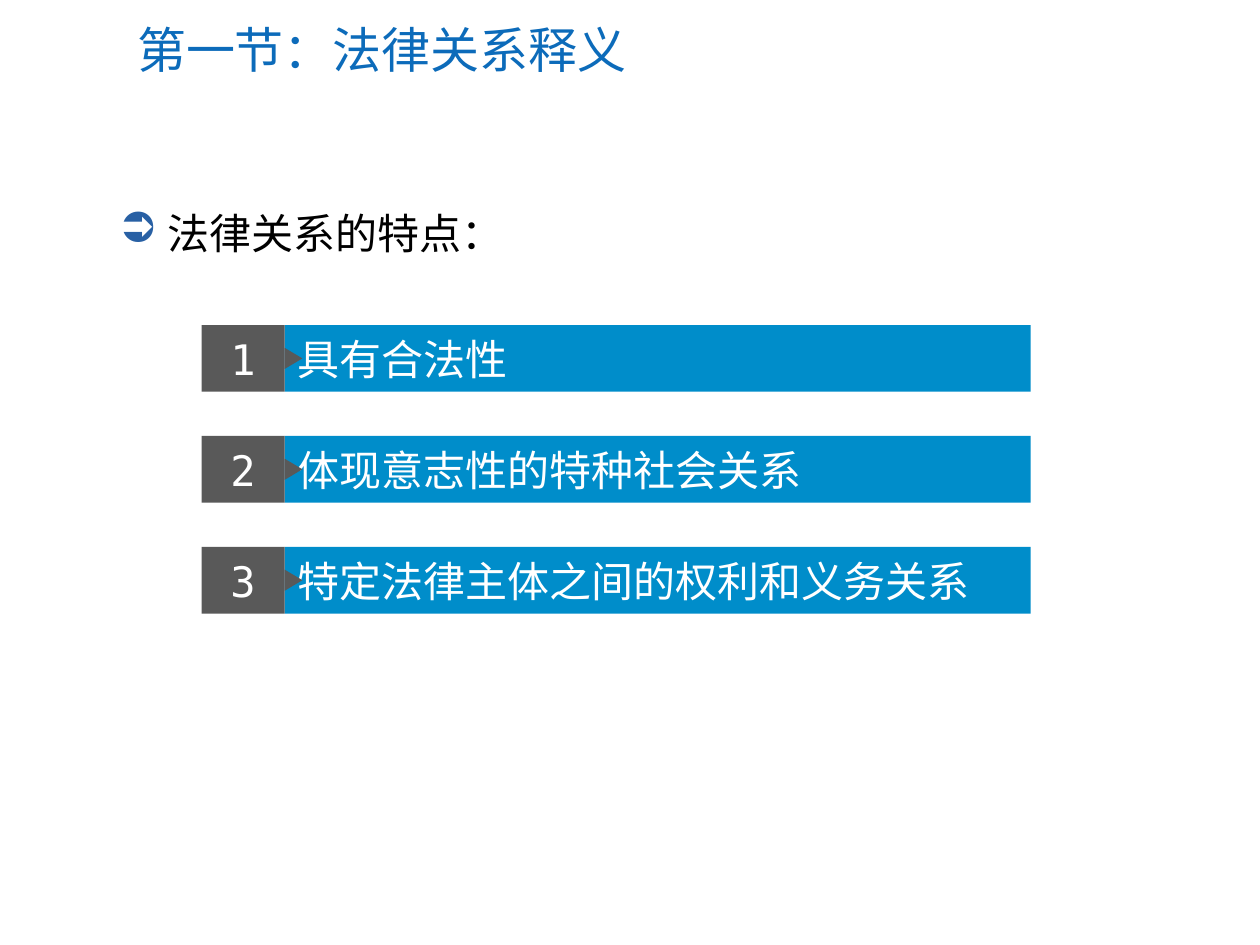
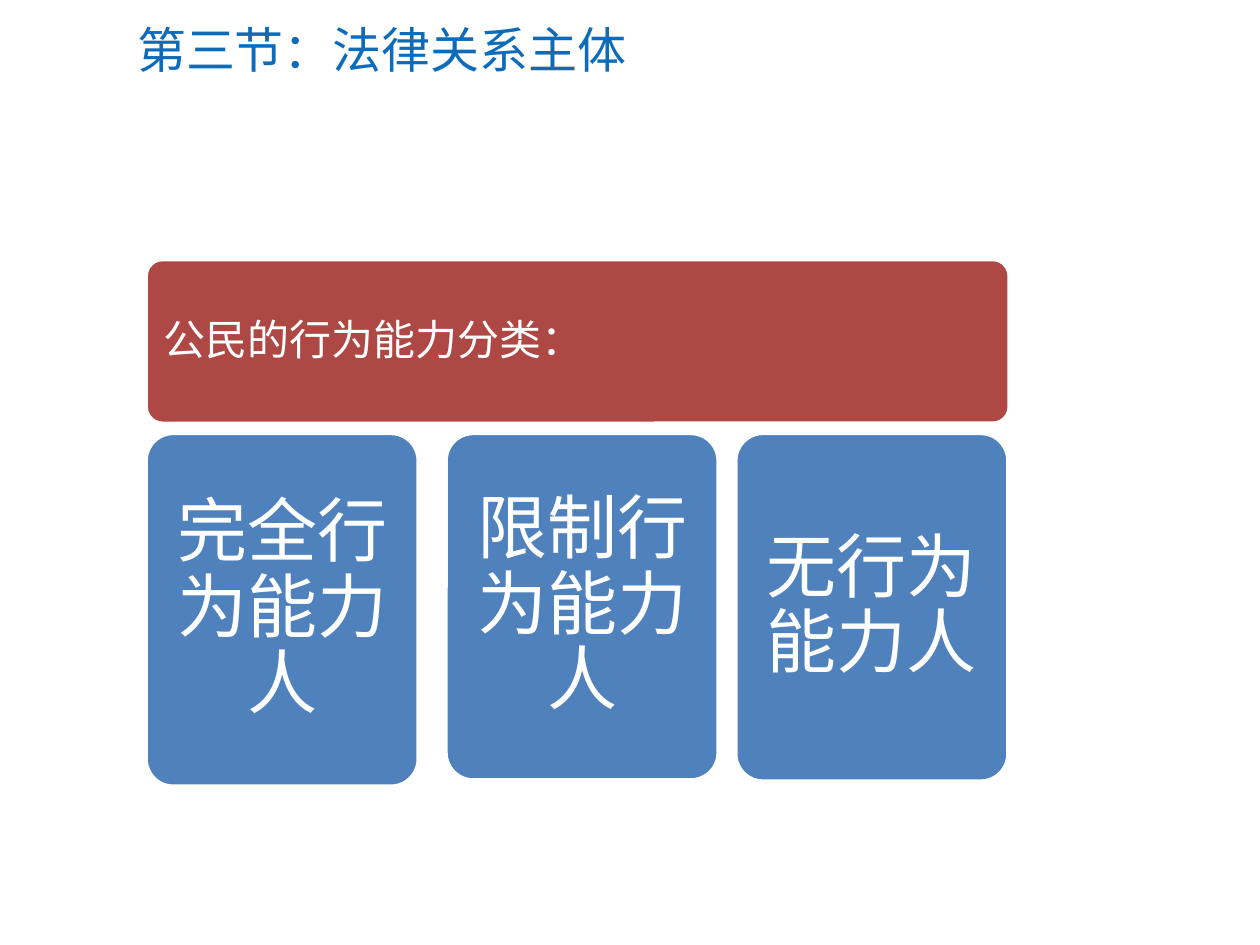
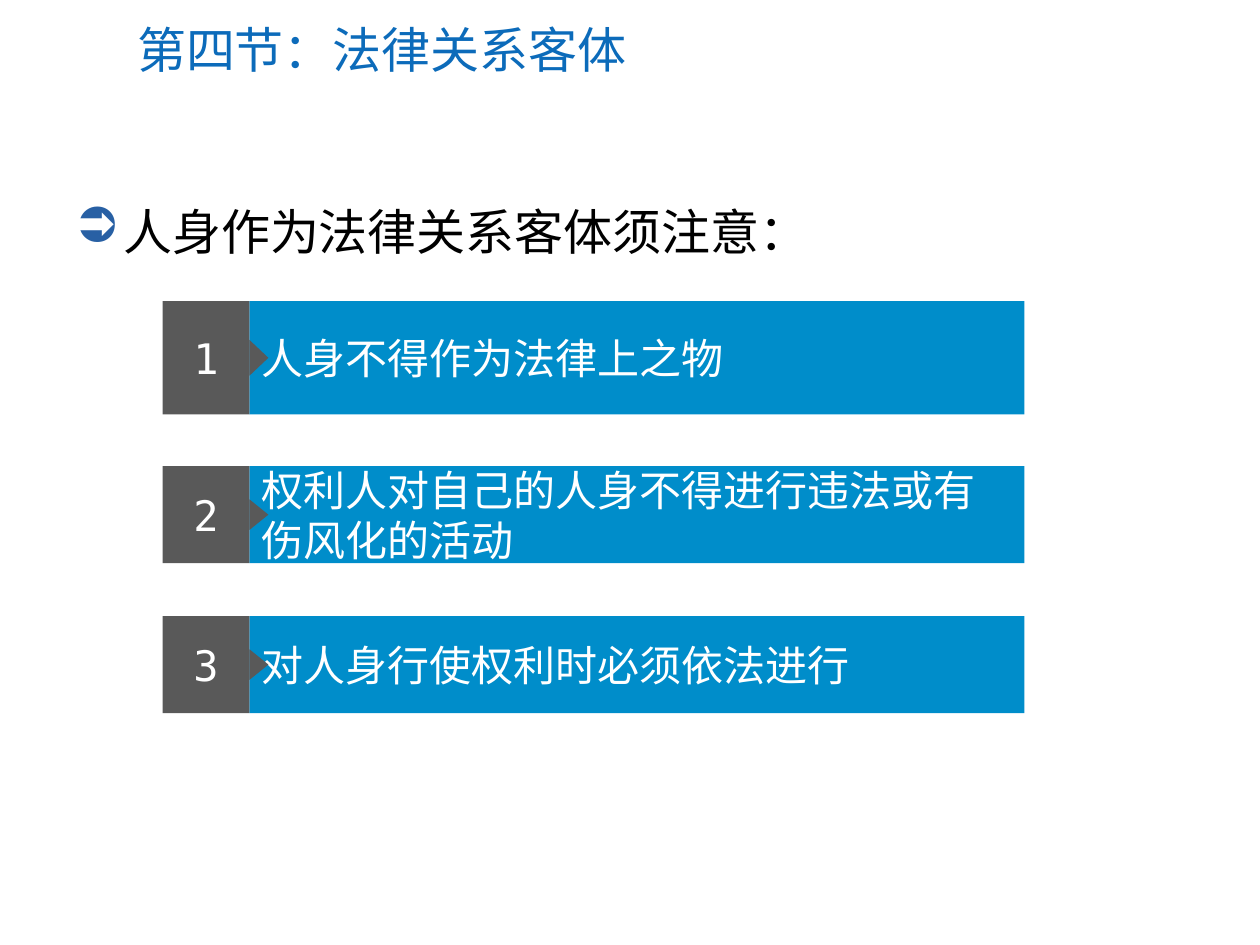
from lxml.etree import SubElement
from pptx import Presentation
from pptx.dml.color import RGBColor
from pptx.enum.shapes import MSO_SHAPE
from pptx.enum.text import MSO_ANCHOR, PP_ALIGN
from pptx.oxml.ns import qn
from pptx.util import Inches, Pt

TITLE_BLUE = RGBColor(0x0C, 0x6B, 0xBA)
BAR_BLUE = RGBColor(0x00, 0x8D, 0xCA)
NUMBER_GRAY = RGBColor(0x59, 0x59, 0x59)
HEADER_RED = RGBColor(0xAE, 0x48, 0x45)
CARD_BLUE = RGBColor(0x4F, 0x81, 0xBD)
BULLET_BLUE = RGBColor(0x28, 0x60, 0xA4)
WHITE = RGBColor(0xFF, 0xFF, 0xFF)
BLACK = RGBColor(0x00, 0x00, 0x00)
TEXT_FONT = "Calibri"
NUMBER_FONT = "DejaVu Sans Mono"

deck = Presentation()
deck.slide_width, deck.slide_height = Inches(10), Inches(7.5)
# The grid has 100 columns and 75 rows, so its cells are square.
COLUMN = deck.slide_width / 100
ROW = deck.slide_height / 75


def add_block(shapes, kind, left, top, width, height, fill=None, line=None):
    """Add a shape, or a text box if kind is None, placed in grid units."""
    place = [int(left * COLUMN), int(top * ROW), int(width * COLUMN), int(height * ROW)]
    if kind is None:
        return shapes.add_textbox(*place)
    block = shapes.add_shape(kind, *place)
    block.shadow.inherit = False
    block.fill.solid()
    block.fill.fore_color.rgb = fill
    if line is None:
        block.line.fill.background()
    else:
        block.line.color.rgb = line
        block.line.width = Pt(2)
    return block


def write_text(box, text, size=24, color=WHITE, font=TEXT_FONT, align=PP_ALIGN.LEFT,
               anchor=MSO_ANCHOR.MIDDLE, before=0, after=0, spacing=None,
               margin=None, bullet=None):
    """Write one paragraph; before and after are shares of the text size."""
    frame = box.text_frame
    frame.word_wrap = True
    frame.vertical_anchor = anchor
    if margin is not None:
        frame.margin_left = frame.margin_right = int(margin * COLUMN)
        frame.margin_top = frame.margin_bottom = int(margin * ROW)
    para = frame.paragraphs[0]
    para.alignment = align
    para.space_before, para.space_after = Pt(before * size), Pt(after * size)
    if spacing:
        para.line_spacing = spacing
    if bullet:
        properties = para._p.get_or_add_pPr()
        properties.set("marL", str(Inches(0.38)))
        properties.set("indent", str(-Inches(0.38)))
        bullet_color = SubElement(properties, qn("a:buClr"))
        SubElement(bullet_color, qn("a:srgbClr")).set("val", str(BULLET_BLUE))
        SubElement(properties, qn("a:buChar")).set("char", bullet)
    span = para.add_run()
    span.text = text
    span.font.name = font
    span.font.size = Pt(size)
    span.font.color.rgb = color


# One page per section, each with the same title
pages = []
for title in ["第一节：法律关系释义", "第三节：法律关系主体", "第四节：法律关系客体"]:
    page = deck.slides.add_slide(deck.slide_layouts[6])
    title_box = add_block(page.shapes, None, 9.9, 1, 87.2, 5.8)
    write_text(title_box, title, size=28, color=TITLE_BLUE)
    pages.append(page)
features_page, capacity_page, object_page = pages

# Numbered lists: bar edges in columns, then (top, height, text) in rows
numbered_lists = [
    (features_page, 16, 22.6, 81.8, 1.4, [
        (25.8, 5.3, "具有合法性"),
        (34.6, 5.3, "体现意志性的特种社会关系"),
        (43.4, 5.3, "特定法律主体之间的权利和义务关系"),
    ]),
    (object_page, 12.9, 19.8, 81.3, 1.5, [
        (23.9, 9, "人身不得作为法律上之物"),
        (37, 7.7, "权利人对自己的人身不得进行违法或有伤风化的活动"),
        (48.9, 7.7, "对人身行使权利时必须依法进行"),
    ]),
]
for page, left, bar_left, right, arrow_depth, entries in numbered_lists:
    for number, (top, height, text) in enumerate(entries, start=1):
        group = page.shapes.add_group_shape().shapes
        bar = add_block(group, MSO_SHAPE.RECTANGLE, bar_left, top,
                        right - bar_left, height, BAR_BLUE)
        write_text(bar, text, before=0.2)
        number_box = add_block(group, MSO_SHAPE.RECTANGLE, left, top,
                               bar_left - left, height, NUMBER_GRAY)
        write_text(number_box, str(number), font=NUMBER_FONT,
                   align=PP_ALIGN.CENTER, before=0.2)
        # The turned arrow stands on the bar's left edge, at half its height.
        arrow_width = 0.315 * height
        arrow = add_block(group, MSO_SHAPE.ISOSCELES_TRIANGLE,
                          bar_left + (arrow_depth - arrow_width) / 2,
                          top + (height - arrow_depth) / 2,
                          arrow_width, arrow_depth, NUMBER_GRAY)
        arrow.rotation = 90

# Bulleted lead lines above the lists
for page, left, top, width, height, size, text in [
    (features_page, 8.5, 16, 79.3, 6.2, 24, "法律关系的特点："),
    (object_page, 5, 15.5, 90, 7.3, 28, "人身作为法律关系客体须注意："),
]:
    lead = add_block(page.shapes, None, left, top, width, height)
    write_text(lead, text, size=size, color=BLACK, anchor=MSO_ANCHOR.TOP,
               before=0.2, bullet="➲")

# Classification: a header above three cards
classification = capacity_page.shapes.add_group_shape().shapes
LEFT_ALIGN, CENTER = PP_ALIGN.LEFT, PP_ALIGN.CENTER
for left, top, width, height, fill, size, margin, align, text in [
    (11.6, 20.6, 68.5, 13, HEADER_RED, 24, 1, LEFT_ALIGN, "公民的行为能力分类："),
    (11.6, 34.4, 21.6, 28, CARD_BLUE, 40, 1.7, CENTER, "完全行为能力人"),
    (35.4, 34.4, 21.6, 27.5, CARD_BLUE, 40, 1.7, CENTER, "限制行为能力人"),
    (58.4, 34.4, 21.6, 27.6, CARD_BLUE, 40, 1.7, CENTER, "无行为能力人"),
]:
    card = add_block(classification, MSO_SHAPE.ROUNDED_RECTANGLE,
                     left, top, width, height, fill, line=WHITE)
    card.adjustments[0] = 0.1
    write_text(card, text, size=size, align=align, margin=margin,
               spacing=0.9, after=0.35)

deck.save("out.pptx")
